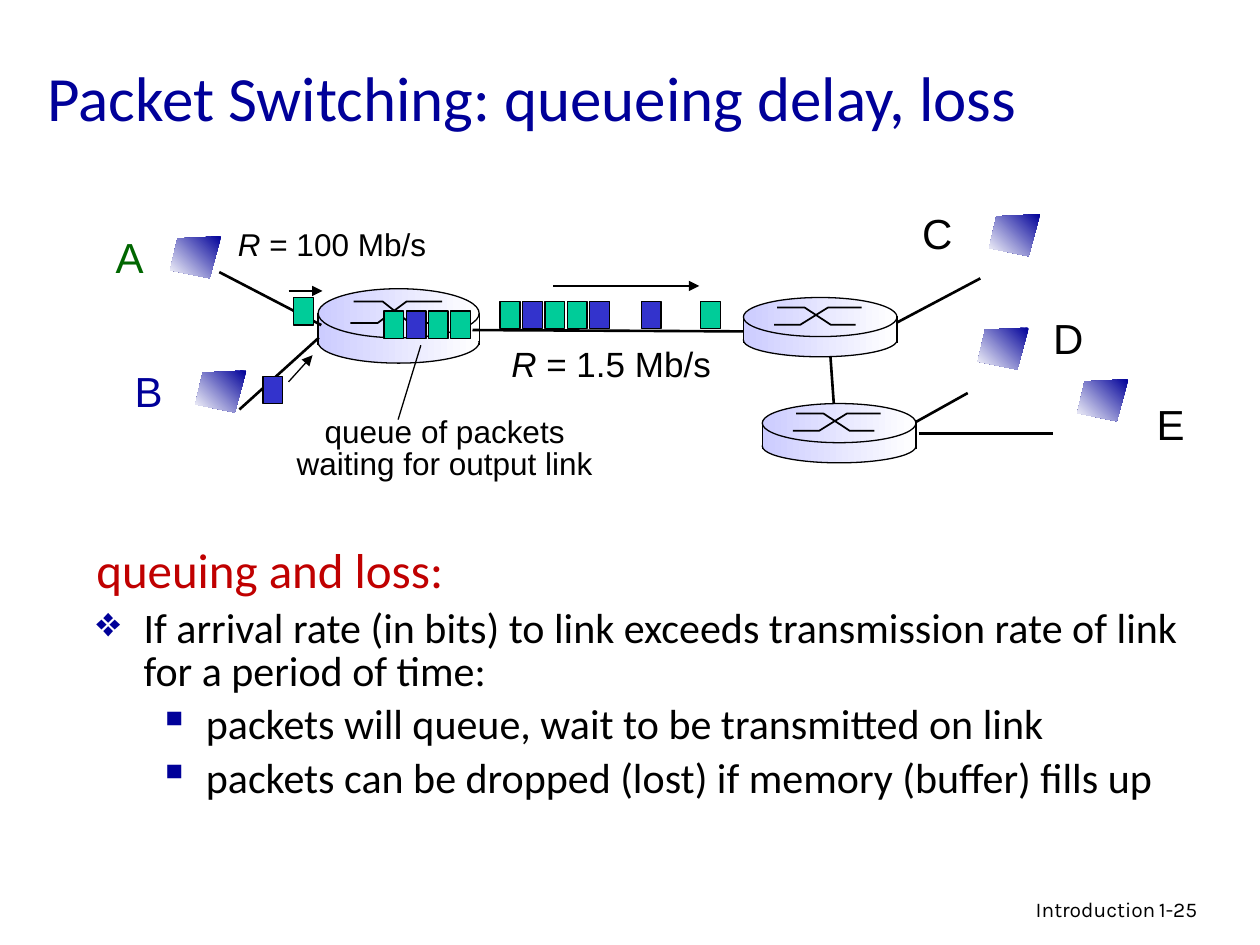
from dataclasses import dataclass
from typing import Any

from lxml.etree import SubElement
from pptx import Presentation
from pptx.dml.color import RGBColor
from pptx.enum.shapes import MSO_CONNECTOR, MSO_SHAPE
from pptx.enum.text import MSO_ANCHOR, MSO_AUTO_SIZE, PP_ALIGN
from pptx.oxml.ns import qn
from pptx.util import Pt

BLACK = RGBColor(0x00, 0x00, 0x00)
WHITE = RGBColor(0xFF, 0xFF, 0xFF)
NAVY = RGBColor(0x00, 0x00, 0x99)
RED = RGBColor(0xC0, 0x00, 0x00)
GREEN = RGBColor(0x00, 0x66, 0x00)
LILAC = RGBColor(0xCC, 0xCC, 0xFF)
TEAL = RGBColor(0x00, 0xCC, 0x99)
BLUE = RGBColor(0x33, 0x33, 0xCC)


@dataclass
class Router:
    x: float
    y: float
    w: float
    h: float


@dataclass
class Packet:
    x: float
    y: float
    fill: RGBColor


@dataclass
class Link:
    x1: float
    y1: float
    x2: float
    y2: float
    width: float = 1.5
    arrow: bool = False


@dataclass
class Label:
    x: float
    y: float
    w: float
    h: float
    text: str
    size: float = 24
    color: RGBColor = BLACK
    font: str = "Arial"
    lead: str = ""
    align: Any = PP_ALIGN.LEFT
    space: float = 1.0


def write(frame: Any, text: str, *, size: float, color: RGBColor = BLACK,
          font: str = "Calibri", lead: str = "", align: Any = PP_ALIGN.LEFT,
          space: float = 1.0, before: float = 0, bullet: str = "",
          indent: float = 0, level: int = 0) -> None:
    """Add one paragraph per line of text; lead is an italic first run."""
    for line in text.split("\n"):
        par = frame.paragraphs[0]
        if par.runs:
            par = frame.add_paragraph()
        if bullet:
            props = par._p.get_or_add_pPr()
            props.set("marL", str(Pt(indent)))
            props.set("indent", str(-Pt(27)))
            tint = SubElement(props, qn("a:buClr"))
            SubElement(tint, qn("a:srgbClr"), val=str(NAVY))
            SubElement(props, qn("a:buChar"), char=bullet)
        par.level = level
        par.alignment = align
        par.line_spacing = space
        par.space_before = Pt(before)
        for part in filter(None, (lead, line)):
            run = par.add_run()
            run.text = part
            run.font.size = Pt(size)
            run.font.name = font
            run.font.color.rgb = color
            run.font.italic = part == lead


def shade(shape: Any, start: RGBColor, angle: float) -> None:
    shape.fill.gradient()
    shape.fill.gradient_angle = angle
    for stop, color in zip(shape.fill.gradient_stops, (start, WHITE)):
        stop.color.rgb = color


def stroke(shape: Any, width: float) -> None:
    shape.line.color.rgb = BLACK
    shape.line.width = Pt(width)


def add_path(shapes: Any, points: list, close: bool) -> Any:
    first, *rest = [(Pt(x), Pt(y)) for x, y in points]
    pen = shapes.build_freeform(*first)
    pen.add_line_segments(rest, close=close)
    shape = pen.convert_to_shape()
    shape.shadow.inherit = False
    return shape


def add_link(shapes: Any, link: Link) -> None:
    line = shapes.add_connector(MSO_CONNECTOR.STRAIGHT, Pt(link.x1), Pt(link.y1),
                                Pt(link.x2), Pt(link.y2))
    stroke(line, link.width)
    props = line._element.spPr
    if link.arrow:
        SubElement(props.find(qn("a:ln")), qn("a:tailEnd"), type="triangle")
    SubElement(props, qn("a:effectLst"))


def add_router(shapes: Any, r: Router) -> None:
    parts = shapes.add_group_shape().shapes
    # Base, body and lid, as shares of the height
    for kind, top, tall in ((MSO_SHAPE.OVAL, 0.44, 0.56),
                            (MSO_SHAPE.RECTANGLE, 0.37, 0.34),
                            (MSO_SHAPE.OVAL, 0, 0.66)):
        disc = parts.add_shape(kind, Pt(r.x), Pt(r.y + top * r.h),
                               Pt(r.w), Pt(tall * r.h))
        disc.shadow.inherit = False
        shade(disc, LILAC, 0)
        if kind == MSO_SHAPE.OVAL:
            stroke(disc, 0.75)
        else:
            disc.line.fill.background()
    # Crossed paths on the lid
    low, high = 0.46, 0.17
    for cols, rows in (((0.2, 0.37, 0.55, 0.77), (low, low, high, high)),
                       ((0.22, 0.4, 0.57, 0.73), (high, high, low, low))):
        points = [(r.x + a * r.w, r.y + b * r.h) for a, b in zip(cols, rows)]
        cross = add_path(parts, points, False)
        cross.fill.background()
        stroke(cross, 1)
    # Sides
    for x in (r.x, r.x + r.w):
        add_link(parts, Link(x, r.y + 0.32 * r.h, x, r.y + 0.76 * r.h, 0.75))


def add_packet(shapes: Any, p: Packet) -> None:
    box = shapes.add_shape(MSO_SHAPE.RECTANGLE, Pt(p.x), Pt(p.y), Pt(11.3), Pt(15.5))
    box.shadow.inherit = False
    box.fill.solid()
    box.fill.fore_color.rgb = p.fill
    stroke(box, 0.75)


def add_screen(shapes: Any, x: float, y: float) -> None:
    corners = ((29.2, 0), (4.2, 1.2), (0, 19.4), (22.6, 24))
    shape = add_path(shapes, [(x + a, y + b) for a, b in corners], True)
    shade(shape, NAVY, 225)
    shape.line.fill.background()


def add_label(shapes: Any, t: Label) -> None:
    frame = shapes.add_textbox(Pt(t.x), Pt(t.y), Pt(t.w), Pt(t.h)).text_frame
    frame.word_wrap = True
    write(frame, t.text, size=t.size, color=t.color, font=t.font,
          lead=t.lead, align=t.align, space=t.space)


LINKS = [
    Link(125.3, 155.5, 183.6, 185.8), Link(136.8, 234, 182.2, 193),
    Link(270, 188.6, 429.1, 189.4), Link(476.6, 232.6, 474.5, 203),
    Link(512.6, 184.3, 560.2, 159.1), Link(524.9, 247.7, 602, 247.7),
    Link(553, 224.6, 522, 241.9), Link(227.5, 239.8, 240.5, 197.3, 0.75),
    Link(164.9, 166.3, 184.3, 166.3, 0.75, True),
    Link(164.9, 218.2, 178.6, 203, 0.75, True),
    Link(316.1, 163.4, 399.6, 163.4, 0.75, True),
]
PACKETS = [
    *(Packet(285.8 + 12.8 * i, 172.1, c)
      for i, c in enumerate((TEAL, BLUE, TEAL, TEAL, BLUE))),
    Packet(366.5, 172.1, BLUE), Packet(400.3, 172.1, TEAL),
    *(Packet(219.4 + 12.7 * i, 177.8, c)
      for i, c in enumerate((TEAL, BLUE, TEAL, TEAL))),
    Packet(167.8, 170.2, TEAL), Packet(150.2, 215.3, BLUE),
]
SCREENS = [(97.2, 135), (111.6, 211.7), (558.7, 187.2), (615.6, 216.7), (565.2, 122.4)]
LABELS = [
    Label(59, 128.9, 32, 36, "A", color=GREEN),
    Label(69.8, 205.2, 32, 36, "B", color=NAVY),
    Label(519.8, 115.2, 32, 36, "C"), Label(594.7, 175, 32, 36, "D"),
    Label(653.8, 223.9, 32, 36, "E"),
    Label(128.9, 124.9, 130, 28.8, " = 100 Mb/s", 18, lead="R"),
    Label(285.1, 192.2, 138, 31.7, " = 1.5 Mb/s", 20, lead="R"),
    Label(161.6, 235, 185, 43.9, "queue of packets\nwaiting for output link", 18,
          align=PP_ALIGN.CENTER, space=0.85),
    Label(439.2, 509, 228.2, 22.3, "Introduction", 12, font="Karla",
          align=PP_ALIGN.RIGHT),
    Label(655.2, 509, 53.3, 21.6, "1-25", 12, font="Karla"),
]


def main() -> None:
    deck = Presentation()
    deck.slide_width, deck.slide_height = Pt(720), Pt(540)
    slide = deck.slides.add_slide(deck.slide_layouts[5])
    shapes = slide.shapes

    # Title
    title = shapes.title
    title.left, title.top, title.width, title.height = Pt(20), Pt(10), Pt(665), Pt(90)
    title.text_frame.auto_size = MSO_AUTO_SIZE.NONE
    title.text_frame.vertical_anchor = MSO_ANCHOR.MIDDLE
    write(title.text_frame, "Packet Switching: queueing delay, loss", size=36, color=NAVY)

    # Network
    add_router(shapes, Router(181.8, 165, 92, 42.5))
    for link in LINKS:
        add_link(shapes, link)
    for packet in PACKETS:
        add_packet(shapes, packet)
    for x, y in SCREENS:
        add_screen(shapes, x, y)
    for x, y in ((424.8, 170), (435.6, 230.6)):
        add_router(shapes, Router(x, y, 87.8, 33.9))
    for label in LABELS:
        add_label(shapes, label)

    # Body
    body = shapes.add_textbox(Pt(48), Pt(310), Pt(640), Pt(160)).text_frame
    body.word_wrap = True
    write(body, "queuing and loss:", size=28, color=RED, space=0.85)
    write(body, "If arrival rate (in bits) to link exceeds transmission rate of link "
          "for a period of time:", size=24, space=0.85, before=6, bullet="❖", indent=27)
    write(body, "packets will queue, wait to be transmitted on link\n"
          "packets can be dropped (lost) if memory (buffer) fills up",
          size=24, space=0.85, before=6, bullet="▪", indent=62.6, level=1)

    deck.save("out.pptx")


if __name__ == "__main__":
    main()
